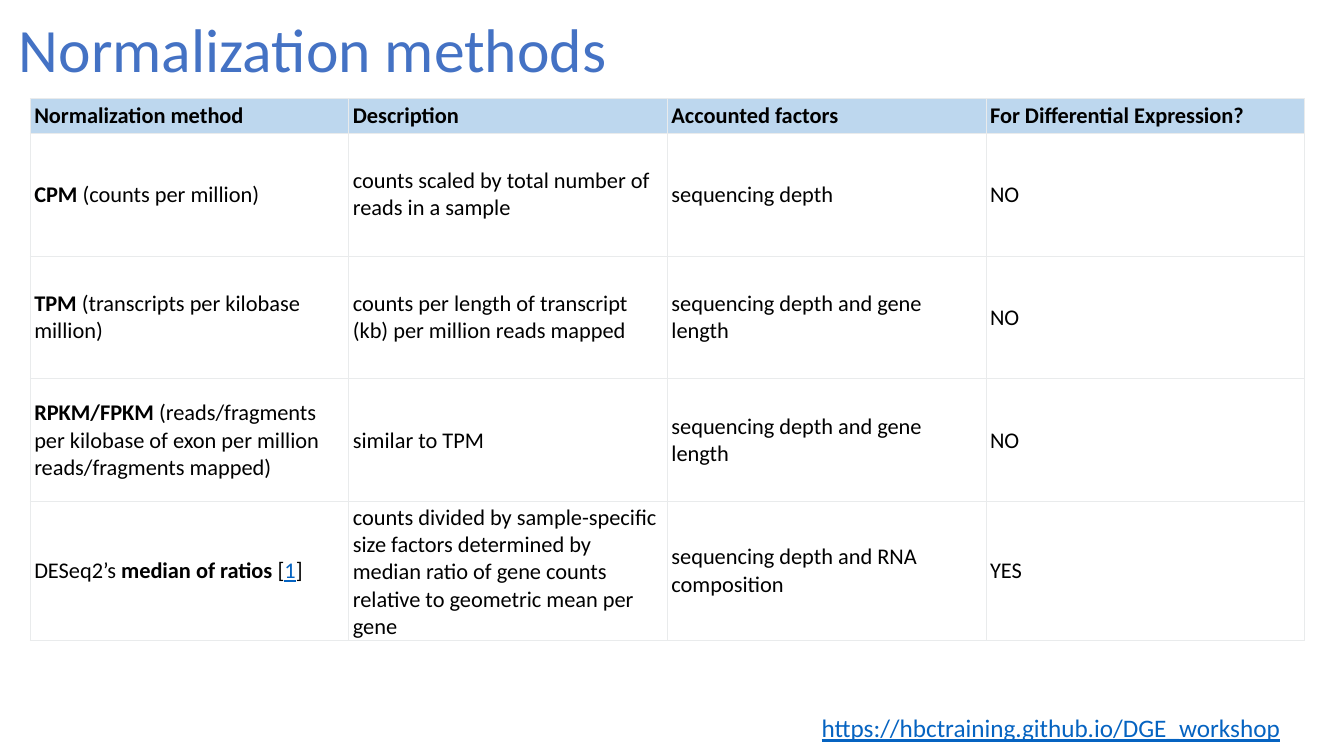
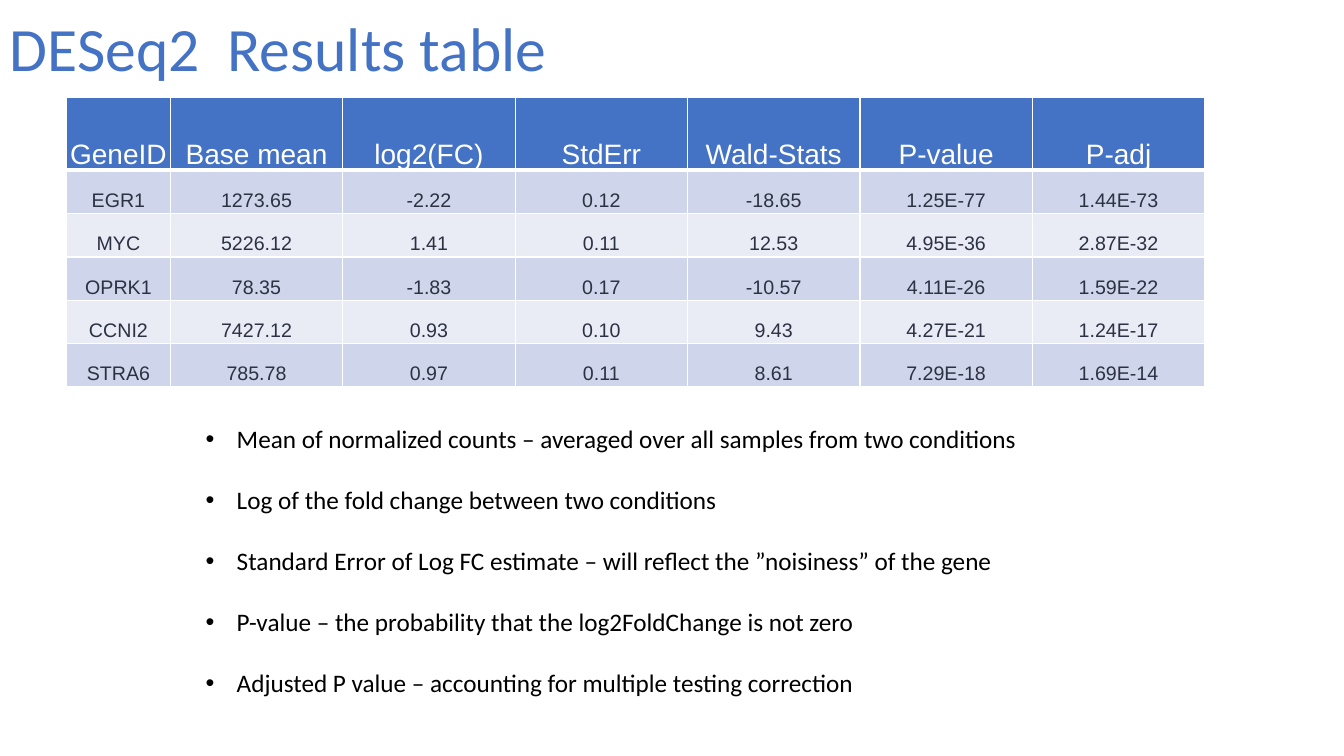
from lxml import etree
from pptx import Presentation
from pptx import util as u
from pptx.dml.color import RGBColor
from pptx.enum import text
from pptx.oxml import ns

COLORS = {
    "title": "4472C4",
    "text": "000000",
    "link": "0563C1",
    "method_header": "BDD7EE",
    "method_border": "E9EBEC",
    "gene_header": "4472C4",
    "gene_text": "2C3143",
    "band_dark": "CFD5EA",
    "band_light": "E9EBF5",
    "white": "FFFFFF",
}
BODY_FONT = "Calibri"
GENE_FONT = "Arial"

BOLD, LINK = "bold", "link"
METHOD_HEADER = ["Normalization method", "Description", "Accounted factors",
                 "For Differential Expression?"]
# The first entry of each row is a list of (wording, style) parts.
METHODS = [
    [[("CPM", BOLD), (" (counts per million)", None)],
     "counts scaled by total number of reads in a sample",
     "sequencing depth", "NO"],
    [[("TPM", BOLD), (" (transcripts per kilobase million)", None)],
     "counts per length of transcript (kb) per million reads mapped",
     "sequencing depth and gene length", "NO"],
    [[("RPKM/FPKM", BOLD),
      (" (reads/fragments per kilobase of exon per million reads/fragments mapped)", None)],
     "similar to TPM",
     "sequencing depth and gene length", "NO"],
    [[("DESeq2’s ", None), ("median of ratios", BOLD), (" [", None), ("1", LINK), ("]", None)],
     "counts divided by sample-specific size factors determined by median ratio "
     "of gene counts relative to geometric mean per gene",
     "sequencing depth and RNA composition", "YES"],
]

GENE_HEADER = ["GeneID", "Base mean", "log2(FC)", "StdErr", "Wald-Stats", "P-value", "P-adj"]
GENES = [
    ["EGR1", "1273.65", "-2.22", "0.12", "-18.65", "1.25E-77", "1.44E-73"],
    ["MYC", "5226.12", "1.41", "0.11", "12.53", "4.95E-36", "2.87E-32"],
    ["OPRK1", "78.35", "-1.83", "0.17", "-10.57", "4.11E-26", "1.59E-22"],
    ["CCNI2", "7427.12", "0.93", "0.10", "9.43", "4.27E-21", "1.24E-17"],
    ["STRA6", "785.78", "0.97", "0.11", "8.61", "7.29E-18", "1.69E-14"],
]
COLUMN_NOTES = [
    "Mean of normalized counts – averaged over all samples from two conditions",
    "Log of the fold change between two conditions",
    "Standard Error of Log FC estimate – will reflect the ”noisiness” of the gene",
    "P-value – the probability that the log2FoldChange is not zero",
    "Adjusted P value – accounting for multiple testing correction",
]


def rgb(color):
    return RGBColor.from_string(COLORS[color])


def style(font, size, color, name=BODY_FONT):
    font.name = name
    font.size = u.Pt(size)
    font.color.rgb = rgb(color)


def add_text_box(slide, box):
    frame = slide.shapes.add_textbox(*map(u.Inches, box)).text_frame
    frame.word_wrap = True
    return frame


def add_title(slide, title, box):
    frame = add_text_box(slide, box)
    frame.vertical_anchor = text.MSO_ANCHOR.MIDDLE
    heading = frame.paragraphs[0]
    heading.text = title
    heading.line_spacing = 0.9
    style(heading.font, 44, "title")


def add_parts(paragraph, parts):
    """Write plain wording, or a list of (wording, style) parts."""
    if isinstance(parts, str):
        parts = [(parts, None)]
    for wording, kind in parts:
        run = paragraph.add_run()
        run.text = wording
        if kind == BOLD:
            run.font.bold = True
        elif kind == LINK:
            run.font.underline = True
            run.font.color.rgb = rgb("link")


def set_borders(cell, color, top, bottom, side):
    """Draw the four edges of a cell, with widths in points."""
    properties = cell._tc.get_or_add_tcPr()
    edges = {"a:lnL": side, "a:lnR": side, "a:lnT": top, "a:lnB": bottom}
    for place, (tag, width) in enumerate(edges.items()):
        line = etree.Element(ns.qn(tag), w=str(u.Pt(width)))
        fill = etree.SubElement(line, ns.qn("a:solidFill"))
        etree.SubElement(fill, ns.qn("a:srgbClr"), val=COLORS[color])
        properties.insert(place, line)


def add_grid(slide, corner, widths, heights, rows):
    """Add a table with no banding and yield (row, paragraph, cell) for each cell."""
    size = (sum(widths), sum(heights))
    table = slide.shapes.add_table(len(heights), len(widths),
                                   *map(u.Inches, (*corner, *size))).table
    table.first_row = table.horz_banding = False
    for column, width in zip(table.columns, widths):
        column.width = u.Inches(width)
    for r, (height, entries) in enumerate(zip(heights, rows)):
        table.rows[r].height = u.Inches(height)
        for c, entry in enumerate(entries):
            cell = table.cell(r, c)
            paragraph = cell.text_frame.paragraphs[0]
            add_parts(paragraph, entry)
            yield r, paragraph, cell


def set_margins(cell, side, top, bottom):
    cell.margin_left = cell.margin_right = u.Inches(side)
    cell.margin_top, cell.margin_bottom = u.Inches(top), u.Inches(bottom)


def fill_cell(cell, color):
    cell.fill.solid()
    cell.fill.fore_color.rgb = rgb(color)


def add_method_table(slide, corner):
    heights = [0.34] + [1.22] * 3 + [1.36]
    for r, paragraph, cell in add_grid(slide, corner, [3.16] * 4, heights,
                                       [METHOD_HEADER] + METHODS):
        cell.vertical_anchor = text.MSO_ANCHOR.MIDDLE
        set_margins(cell, 0.04, 0.02, 0.02)
        style(paragraph.font, 16, "text")
        if r == 0:
            paragraph.font.bold = True
            fill_cell(cell, "method_header")
        else:
            cell.fill.background()
        set_borders(cell, "method_border", 0.75, 0.75, 0.75)


def add_gene_table(slide, corner):
    widths = [1.03] + [1.71] * 6
    heights = [0.72] + [0.43] * len(GENES)
    for r, paragraph, cell in add_grid(slide, corner, widths, heights, [GENE_HEADER] + GENES):
        cell.vertical_anchor = text.MSO_ANCHOR.BOTTOM
        paragraph.alignment = text.PP_ALIGN.CENTER
        if r == 0:
            set_margins(cell, 0.01, 0.01, 0)
            style(paragraph.font, 20, "white", GENE_FONT)
            fill_cell(cell, "gene_header")
        else:
            set_margins(cell, 0.01, 0.02, 0.02)
            style(paragraph.font, 14, "gene_text", GENE_FONT)
            fill_cell(cell, "band_dark" if r % 2 else "band_light")
        set_borders(cell, "white", top=3 if r == 1 else 1, bottom=3 if r == 0 else 1, side=1)


def add_column_notes(slide, box):
    frame = add_text_box(slide, box)
    for i, note in enumerate(COLUMN_NOTES):
        paragraph = frame.add_paragraph() if i else frame.paragraphs[0]
        paragraph.text = note
        if i:
            paragraph.space_before = u.Pt(22)
        properties = paragraph._p.get_or_add_pPr()
        properties.set("marL", str(u.Inches(0.31)))
        properties.set("indent", str(u.Inches(-0.31)))
        etree.SubElement(properties, ns.qn("a:buFont"), typeface="Arial")
        etree.SubElement(properties, ns.qn("a:buChar"), char="•")
        style(paragraph.font, 18, "text")


def add_source_address(slide, box):
    address = add_text_box(slide, box).paragraphs[0]
    address.text = "https://hbctraining.github.io/DGE_workshop"
    style(address.font, 18, "link")
    address.font.underline = True


def build_methods_slide(slide):
    add_title(slide, "Normalization methods", (0.09, 0.06, 11.5, 0.92))
    add_method_table(slide, (0.3, 0.98))
    add_source_address(slide, (8.05, 7.02, 4.81, 0.4))


def build_results_slide(slide):
    add_title(slide, "DESeq2  Results table", (0, 0.05, 11.5, 0.92))
    add_gene_table(slide, (0.66, 0.97))
    add_column_notes(slide, (1.94, 4.15, 8.34, 2.83))


def main():
    deck = Presentation()
    deck.slide_width, deck.slide_height = u.Inches(13.33), u.Inches(7.5)
    blank = deck.slide_layouts[6]
    for build in (build_methods_slide, build_results_slide):
        build(deck.slides.add_slide(blank))
    deck.save("out.pptx")


if __name__ == "__main__":
    main()
